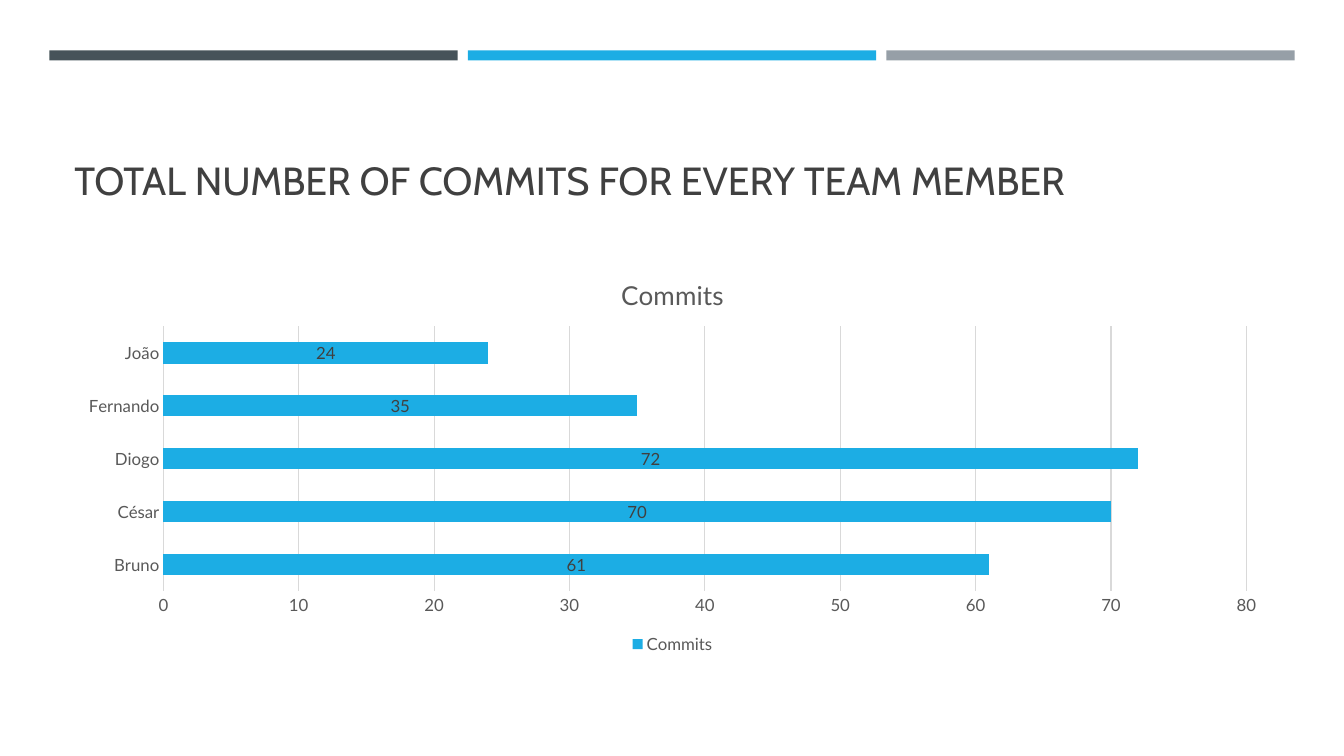
import pptx
import pptx.chart.data
import pptx.dml.color
import pptx.enum.chart
import pptx.enum.shapes
import pptx.enum.text
import pptx.util

RGBColor = pptx.dml.color.RGBColor
Inches = pptx.util.Inches
Pt = pptx.util.Pt

SLATE = RGBColor(0x46, 0x53, 0x59)
BLUE = RGBColor(0x1C, 0xAD, 0xE4)
GRAY = RGBColor(0x96, 0x9F, 0xA7)
DARK_TEXT = RGBColor(0x40, 0x40, 0x40)
CHART_TEXT = RGBColor(0x59, 0x59, 0x59)
GRID = RGBColor(0xD9, 0xD9, 0xD9)

COMMITS = {"Bruno": 61, "César": 70, "Diogo": 72, "Fernando": 35, "João": 24}


def apply(target, values):
    for name, value in values.items():
        setattr(target, name, value)


class SlideBuilder:
    heading_font = "Cabin"
    body_font = "Lato"

    def __init__(self, slide):
        self.slide = slide

    def style_font(self, font, name, size, color):
        apply(font, {"name": name, "size": Pt(size), "bold": False})
        font.color.rgb = color

    def style_line(self, line, color):
        line.color.rgb = color
        line.width = Pt(0.75)

    def bar(self, left, top, width, height, color):
        shape = self.slide.shapes.add_shape(
            pptx.enum.shapes.MSO_SHAPE.RECTANGLE,
            Inches(left), Inches(top), Inches(width), Inches(height))
        shape.shadow.inherit = False
        shape.fill.solid()
        shape.fill.fore_color.rgb = color
        shape.line.fill.background()

    def title(self, text, left, top, width, height):
        box = self.slide.shapes.add_textbox(
            Inches(left), Inches(top), Inches(width), Inches(height))
        apply(box.text_frame, {
            "word_wrap": True,
            "vertical_anchor": pptx.enum.text.MSO_ANCHOR.BOTTOM,
        })
        run = box.text_frame.paragraphs[0].add_run()
        run.text = text
        self.style_font(run.font, self.heading_font, 28, DARK_TEXT)

    def bar_chart(self, name, values, left, top, width, height):
        data = pptx.chart.data.CategoryChartData()
        data.categories = list(values)
        data.add_series(name, list(values.values()))
        chart = self.slide.shapes.add_chart(
            pptx.enum.chart.XL_CHART_TYPE.BAR_STACKED,
            Inches(left), Inches(top), Inches(width), Inches(height), data).chart
        self.style_font(chart.font, self.body_font, 12, CHART_TEXT)

        chart.has_title = True
        run = chart.chart_title.text_frame.paragraphs[0].add_run()
        run.text = name
        self.style_font(run.font, self.body_font, 18.6, CHART_TEXT)
        chart.chart_title.include_in_layout = False

        chart.has_legend = True
        apply(chart.legend, {
            "position": pptx.enum.chart.XL_LEGEND_POSITION.BOTTOM,
            "include_in_layout": False,
        })
        self.style_font(chart.legend.font, self.body_font, 12, CHART_TEXT)
        self.style_axes(chart)
        self.style_plot(chart.plots[0])

    def style_axes(self, chart):
        no_tick = pptx.enum.chart.XL_TICK_MARK.NONE
        for axis in (chart.category_axis, chart.value_axis):
            apply(axis, {"major_tick_mark": no_tick, "minor_tick_mark": no_tick})
            self.style_font(axis.tick_labels.font, self.body_font, 12, CHART_TEXT)
        self.style_line(chart.category_axis.format.line, GRID)
        apply(chart.value_axis, {
            "minimum_scale": 0, "maximum_scale": 80, "major_unit": 10,
            "has_major_gridlines": True,
        })
        chart.value_axis.format.line.fill.background()
        self.style_line(chart.value_axis.major_gridlines.format.line, GRID)

    def style_plot(self, plot):
        apply(plot, {"gap_width": 150, "overlap": 100, "vary_by_categories": False})
        series = plot.series[0]
        series.format.fill.solid()
        series.format.fill.fore_color.rgb = BLUE
        labels = series.data_labels
        apply(labels, {
            "show_value": True,
            "position": pptx.enum.chart.XL_LABEL_POSITION.CENTER,
        })
        self.style_font(labels.font, self.body_font, 12, DARK_TEXT)


def main():
    presentation = pptx.Presentation()
    apply(presentation, {"slide_width": Inches(13.33), "slide_height": Inches(7.5)})
    slide = presentation.slides.add_slide(presentation.slide_layouts[6])
    builder = SlideBuilder(slide)
    for index, color in enumerate((SLATE, BLUE, GRAY)):
        builder.bar(0.49 + 4.15 * index, 0.5, 4.05, 0.1, color)
    builder.title("TOTAL NUMBER OF COMMITS FOR EVERY TEAM MEMBER", 0.64, 0.77, 12.06, 1.3)
    builder.bar_chart("Commits", COMMITS, 0.64, 2.56, 12.06, 3.97)
    presentation.save("out.pptx")


if __name__ == "__main__":
    main()
